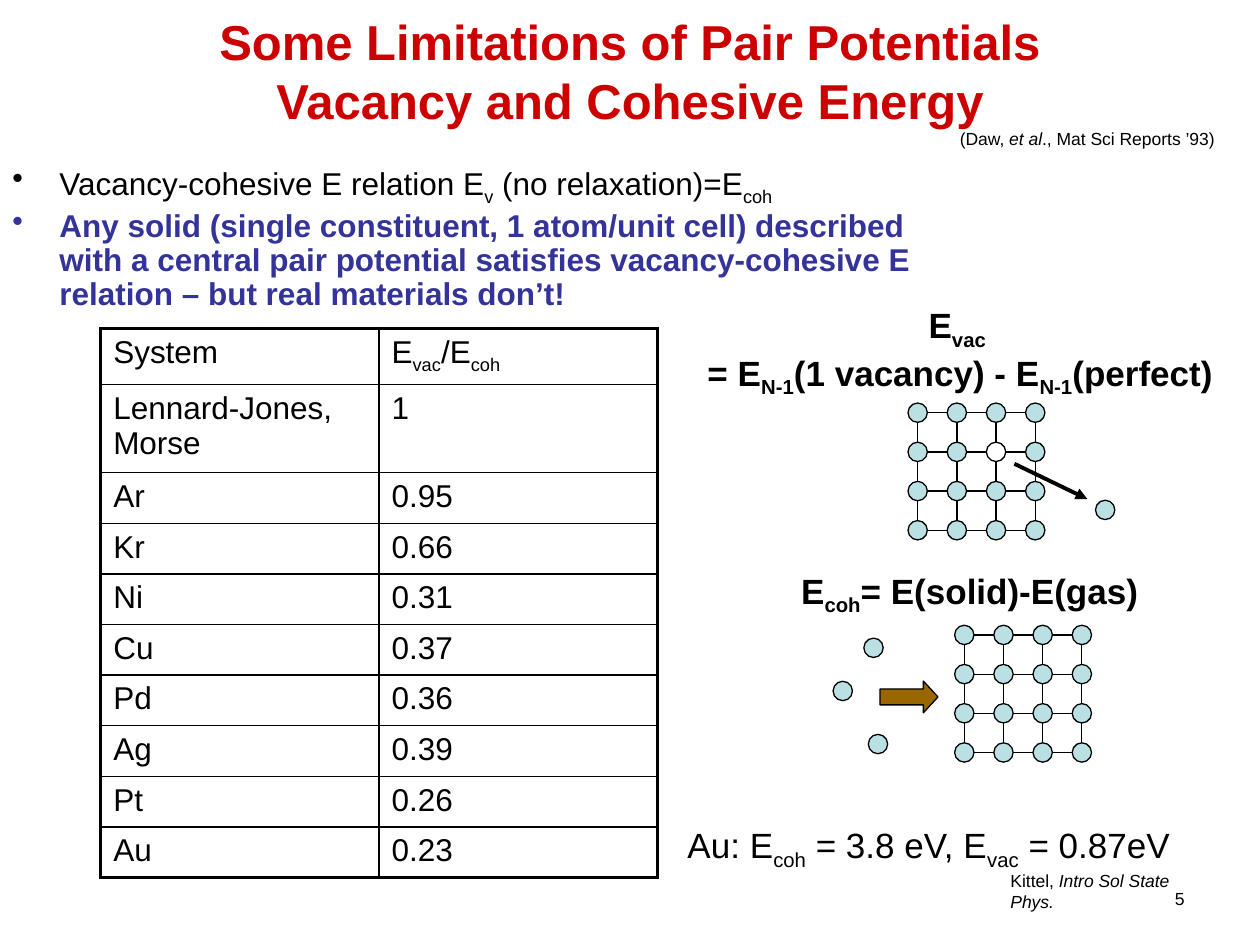
from dataclasses import dataclass, field
from itertools import product

from lxml.etree import SubElement
from pptx import Presentation
from pptx.dml.color import RGBColor
from pptx.enum.shapes import MSO_CONNECTOR, MSO_SHAPE
from pptx.enum.text import MSO_ANCHOR, MSO_AUTO_SIZE, PP_ALIGN
from pptx.oxml import parse_xml
from pptx.oxml.ns import nsdecls, qn
from pptx.util import Cm, Pt


@dataclass(frozen=True)
class Theme:
    font: str = "Arial"
    black: str = "000000"
    red: str = "CC0000"
    blue: str = "333399"
    atom: str = "BBE0E3"
    white: str = "FFFFFF"
    brown: str = "996600"
    head: float = 28
    large: float = 20
    body: float = 18
    small: float = 10
    thin: float = 0.75
    rule: float = 1
    thick: float = 2.25


THEME = Theme()


@dataclass(frozen=True)
class Line:
    text: str
    size: float = THEME.body
    color: str = THEME.black
    bold: bool = False
    slant: bool = False
    align: PP_ALIGN = PP_ALIGN.LEFT
    bullet: bool = False
    before: float = 0


@dataclass(frozen=True)
class Label:
    x: float
    y: float
    w: float
    h: float
    lines: list[Line]
    wrap: bool = True
    anchor: MSO_ANCHOR = MSO_ANCHOR.TOP


@dataclass(frozen=True)
class Grid:
    x: float
    y: float
    holes: set = field(default_factory=set)


COUNT, STEP, ATOM = 4, 0.79, 0.39

LABELS = [
    Label(0, 0, 25.4, 2.84, [
        Line("Some Limitations of Pair Potentials\vVacancy and Cohesive Energy",
             THEME.head, THEME.red, bold=True, align=PP_ALIGN.CENTER),
    ], anchor=MSO_ANCHOR.MIDDLE),
    Label(19.1, 2.46, 5.66, 0.68, [
        Line("(Daw, |et al|., Mat Sci Reports ’93)", THEME.small, slant=True),
    ], wrap=False),
    Label(0, 3.2, 18.77, 3.43, [
        Line("Vacancy-cohesive E relation E|v| (no relaxation)=E|coh", bullet=True),
        Line("Any solid (single constituent, 1 atom/unit cell) described with a "
             "central pair potential satisfies vacancy-cohesive E relation – "
             "but real materials don’t!",
             color=THEME.blue, bold=True, bullet=True, before=3.6),
    ]),
    Label(15.9, 11.35, 7.39, 1.09, [
        Line("E|coh|= E(solid)-E(gas)", THEME.large, bold=True),
    ], wrap=False),
    Label(13.31, 5.99, 12.09, 1.96, [
        Line("E|vac ", THEME.large, bold=True, align=PP_ALIGN.CENTER),
        Line("= E|N-1|(1 vacancy) - E|N-1|(perfect)", THEME.large, bold=True,
             align=PP_ALIGN.CENTER),
    ]),
    Label(13.61, 16.48, 10.41, 1.09, [
        Line("Au: E|coh| = 3.8 eV, E|vac| = 0.87eV", THEME.large),
    ], wrap=False),
    Label(20.12, 17.42, 4.67, 0.68, [
        Line("Kittel, |Intro Sol State Phys.", THEME.small, slant=True),
    ], wrap=False),
    Label(18.21, 17.78, 5.92, 0.89, [
        Line("5", THEME.small, align=PP_ALIGN.RIGHT),
    ]),
]

ROWS = [
    ("System", "E|vac|/E|coh"),
    ("Lennard-Jones, Morse", "1"),
    ("Ar", "0.95"),
    ("Kr", "0.66"),
    ("Ni", "0.31"),
    ("Cu", "0.37"),
    ("Pd", "0.36"),
    ("Ag", "0.39"),
    ("Pt", "0.26"),
    ("Au", "0.23"),
]


def tint(code: str) -> RGBColor:
    return RGBColor.from_string(code)


def write(para, line: Line) -> None:
    para.alignment = line.align
    if line.bullet:
        props = para._p.get_or_add_pPr()
        props.set("marL", str(Cm(0.95)))
        props.set("indent", str(-Cm(0.95)))
        SubElement(props, qn("a:buChar")).set("char", "•")
        para.line_spacing = 0.9
    if line.before:
        para.space_before = Pt(line.before)
    first, *rest = line.text.split("|")
    para.text = first
    for part in rest:
        para.add_run().text = part
    marks = len(rest) > 0
    for spot, run in enumerate(para.runs):
        font = run.font
        font.name, font.size, font.bold = THEME.font, Pt(line.size), line.bold
        font.color.rgb = tint(line.color)
        if marks and spot % 2:
            if line.slant:
                font.italic = True
            else:
                run._r.get_or_add_rPr().set("baseline", "-25000")


def place(shapes, label: Label) -> None:
    box = shapes.add_textbox(Cm(label.x), Cm(label.y), Cm(label.w), Cm(label.h))
    frame = box.text_frame
    frame.word_wrap = label.wrap
    frame.vertical_anchor = label.anchor
    if not label.wrap:
        frame.auto_size = MSO_AUTO_SIZE.SHAPE_TO_FIT_TEXT
    for spot, line in enumerate(label.lines):
        write(frame.add_paragraph() if spot else frame.paragraphs[0], line)


def solid(shapes, kind: MSO_SHAPE, x: float, y: float, w: float, h: float,
          color: str | None = None):
    shape = shapes.add_shape(kind, Cm(x), Cm(y), Cm(w), Cm(h))
    shape.shadow.inherit = False
    if color:
        shape.fill.solid()
        shape.fill.fore_color.rgb = tint(color)
    else:
        shape.fill.background()
    shape.line.color.rgb = tint(THEME.black)
    shape.line.width = Pt(THEME.thin)
    return shape


def atom(shapes, x: float, y: float, color: str = THEME.atom) -> None:
    solid(shapes, MSO_SHAPE.OVAL, x - ATOM / 2, y - ATOM / 2, ATOM, ATOM, color)


def link(shapes, x: float, y: float, to_x: float, to_y: float,
         width: float = THEME.thin, arrow: bool = False) -> None:
    line = shapes.add_connector(MSO_CONNECTOR.STRAIGHT, Cm(x), Cm(y), Cm(to_x), Cm(to_y))
    line.line.color.rgb = tint(THEME.black)
    line.line.width = Pt(width)
    if arrow:
        SubElement(line.line._get_or_add_ln(), qn("a:tailEnd")).set("type", "triangle")
    SubElement(line._element.spPr, qn("a:effectLst"))


def lattice(shapes, grid: Grid) -> None:
    side = (COUNT - 1) * STEP
    solid(shapes, MSO_SHAPE.RECTANGLE, grid.x, grid.y, side, side)
    for spot in range(1, COUNT - 1):
        gap = spot * STEP
        link(shapes, grid.x + gap, grid.y, grid.x + gap, grid.y + side)
        link(shapes, grid.x, grid.y + gap, grid.x + side, grid.y + gap)
    for row, col in product(range(COUNT), repeat=2):
        color = THEME.white if (row, col) in grid.holes else THEME.atom
        atom(shapes, grid.x + col * STEP, grid.y + row * STEP, color)


def edge(cell, row: int, col: int) -> None:
    sides = {"L": col == 0, "R": col == 1, "T": row == 0, "B": row == len(ROWS) - 1}
    props = cell._tc.get_or_add_tcPr()
    for spot, (side, outer) in enumerate(sides.items()):
        width = Pt(THEME.thick if outer else THEME.rule)
        props.insert(spot, parse_xml(
            f'<a:ln{side} {nsdecls("a")} w="{width}"><a:solidFill>'
            f'<a:srgbClr val="{THEME.black}"/></a:solidFill></a:ln{side}>'))


def chart(shapes) -> None:
    table = shapes.add_table(len(ROWS), 2, Cm(2.03), Cm(6.62), Cm(11.22), Cm(10.95)).table
    table.first_row = table.horz_banding = False
    for col in table.columns:
        col.width = Cm(5.61)
    for row, texts in enumerate(ROWS):
        table.rows[row].height = Cm({0: 1.13, 1: 1.78}.get(row, 1.02))
        for col, text in enumerate(texts):
            cell = table.cell(row, col)
            cell.fill.background()
            edge(cell, row, col)
            write(cell.text_frame.paragraphs[0], Line(text))


def main() -> None:
    deck = Presentation()
    deck.slide_width, deck.slide_height = Cm(25.4), Cm(19.05)
    shapes = deck.slides.add_slide(deck.slide_layouts[6]).shapes

    bond = shapes.add_group_shape().shapes
    lattice(bond, Grid(19.44, 12.8))
    for x, y in [(17.61, 13.06), (17.7, 15), (16.99, 13.93)]:
        atom(bond, x, y)
    arrow = solid(bond, MSO_SHAPE.RIGHT_ARROW, 17.74, 13.73, 1.17, 0.64, THEME.brown)
    arrow.adjustments[1] = 0.46

    gap = shapes.add_group_shape().shapes
    lattice(gap, Grid(18.5, 8.32, {(1, 2)}))
    link(gap, 20.45, 9.35, 21.92, 10.06, THEME.thick, arrow=True)
    atom(gap, 22.28, 10.28)

    chart(shapes)
    for label in LABELS:
        place(shapes, label)
    deck.save("out.pptx")


if __name__ == "__main__":
    main()
